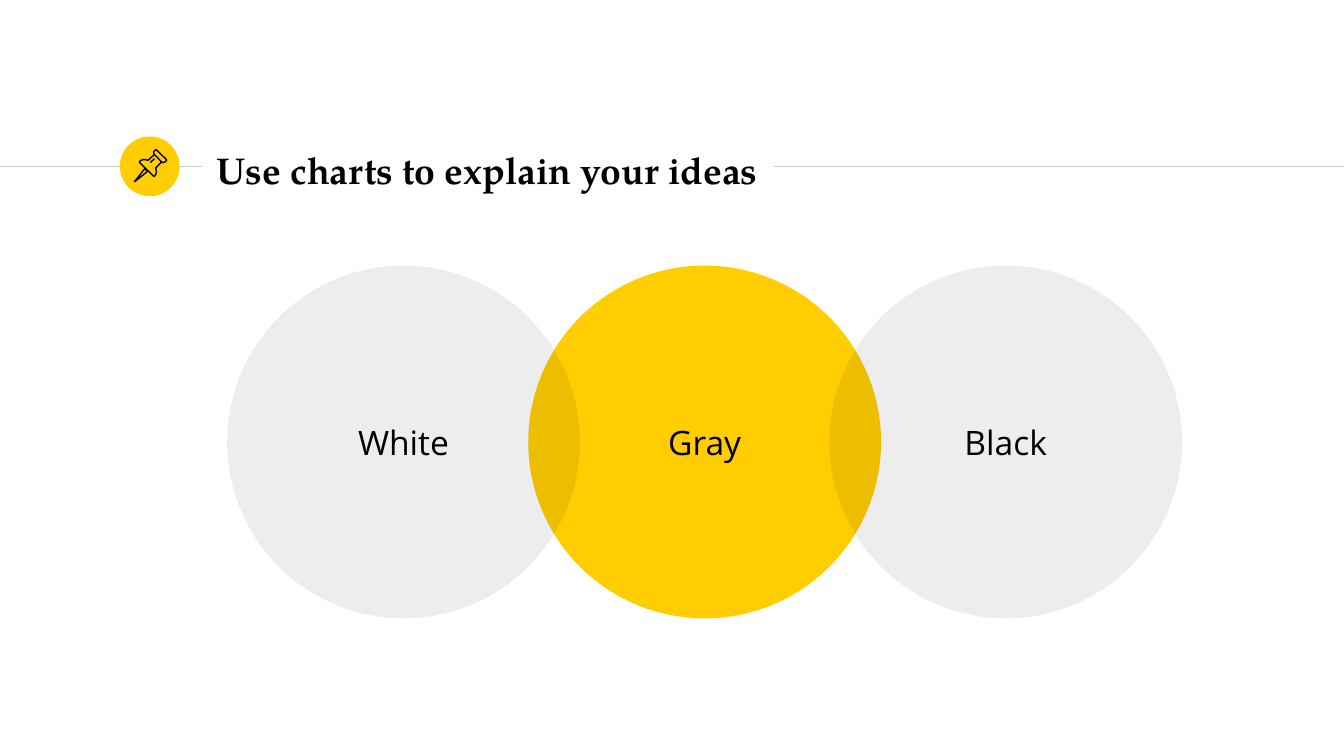
from lxml.etree import SubElement
from pptx import Presentation
from pptx.dml.color import RGBColor
from pptx.enum.shapes import MSO_CONNECTOR, MSO_SHAPE
from pptx.enum.text import MSO_ANCHOR, MSO_AUTO_SIZE, PP_ALIGN
from pptx.oxml.ns import qn
from pptx.util import Pt

YELLOW = RGBColor(0xFF, 0xCD, 0x00)
BLACK = RGBColor(0x00, 0x00, 0x00)
RULE_GRAY = RGBColor(0xCC, 0xCC, 0xCC)


class SlideBuilder:
    """Holds the style and the current slide, with lengths in points."""

    title_font = "TeX Gyre Pagella"
    body_font = "Open Sans"
    line_width = 0.75
    inset = 7.2

    def __init__(self, slide):
        self.slide = slide

    def add_text(self, shape, text, font_name, size, bold, alignment):
        frame = shape.text_frame
        frame.word_wrap = True
        frame.auto_size = MSO_AUTO_SIZE.NONE
        frame.vertical_anchor = MSO_ANCHOR.MIDDLE
        frame.margin_left = frame.margin_right = Pt(self.inset)
        frame.margin_top = frame.margin_bottom = Pt(self.inset)
        paragraph = frame.paragraphs[0]
        paragraph.alignment = alignment
        run = paragraph.add_run()
        run.text = text
        run.font.name = font_name
        run.font.size = Pt(size)
        run.font.bold = bold
        run.font.color.rgb = BLACK

    def add_title(self, text, left, top, width, height):
        shape = self.slide.shapes.title
        shape.left, shape.top = Pt(left), Pt(top)
        shape.width, shape.height = Pt(width), Pt(height)
        self.add_text(shape, text, self.title_font, 20, True, PP_ALIGN.LEFT)

    def add_rule(self, start, end, y):
        connector = self.slide.shapes.add_connector(
            MSO_CONNECTOR.STRAIGHT, Pt(start), Pt(y), Pt(end), Pt(y))
        connector.line.color.rgb = RULE_GRAY
        connector.line.width = Pt(self.line_width)
        properties = connector._element.find(qn("p:spPr"))
        SubElement(properties, qn("a:effectLst"))

    def add_circle(self, left, top, diameter, color, opacity=100, label=None):
        shape = self.slide.shapes.add_shape(
            MSO_SHAPE.OVAL, Pt(left), Pt(top), Pt(diameter), Pt(diameter))
        shape.shadow.inherit = False
        shape.line.fill.background()
        shape.fill.solid()
        shape.fill.fore_color.rgb = color
        if opacity < 100:
            properties = shape._element.find(qn("p:spPr"))
            color_element = properties.find(qn("a:solidFill"))[0]
            SubElement(color_element, qn("a:alpha"), val=str(opacity * 1000))
        if label:
            self.add_text(shape, label, self.body_font, 18, False, PP_ALIGN.CENTER)

    def add_outline(self, points, close):
        start, *others = [(Pt(x), Pt(y)) for x, y in points]
        freeform = self.slide.shapes.build_freeform(*start)
        freeform.add_line_segments(others, close=close)
        shape = freeform.convert_to_shape()
        shape.shadow.inherit = False
        shape.fill.background()
        shape.line.color.rgb = BLACK
        shape.line.width = Pt(self.line_width)


PIN_OUTLINES = [
    ([(77.6, 90.3), (72.8, 96.4), (72, 97.3), (73, 96.7), (79.1, 91.8)], True),
    ([(82.8, 82.8), (86.6, 86.8), (87.4, 87.1), (88.3, 86.9), (89, 86.3),
      (89.3, 85.8), (89.1, 85.4), (84, 80.5), (83.5, 80.3), (83, 80.6),
      (82.4, 81.2), (82.3, 82.1)], True),
    ([(82.8, 82.8), (79.3, 85.9), (78.2, 85.6), (76.8, 85.5), (75.6, 85.9),
      (74.9, 86.4), (74.7, 86.8), (75, 87.2), (82.2, 94.3), (82.6, 94.5),
      (83, 94.2), (83.5, 93.4), (83.8, 92.4), (83.7, 91), (83.4, 90),
      (86.6, 86.8)], False),
    ([(80.6, 87), (82.8, 85)], False),
]

presentation = Presentation()
presentation.slide_width, presentation.slide_height = Pt(720), Pt(405)
builder = SlideBuilder(presentation.slides.add_slide(presentation.slide_layouts[5]))

for start, end in [(0, 108), (414.7, 720)]:
    builder.add_rule(start, end, 89.2)
builder.add_circle(64.2, 73.1, 32, YELLOW)
builder.add_title("Use charts to explain your ideas", 108.9, 73.4, 305.5, 34.6)

for column, label, color, opacity in [
        (1, "Gray", YELLOW, 100), (0, "White", BLACK, 7), (2, "Black", BLACK, 7)]:
    builder.add_circle(121.7 + 161.3 * column, 142.3, 189, color, opacity, label)

for points, close in PIN_OUTLINES:
    builder.add_outline(points, close)

presentation.save("out.pptx")
